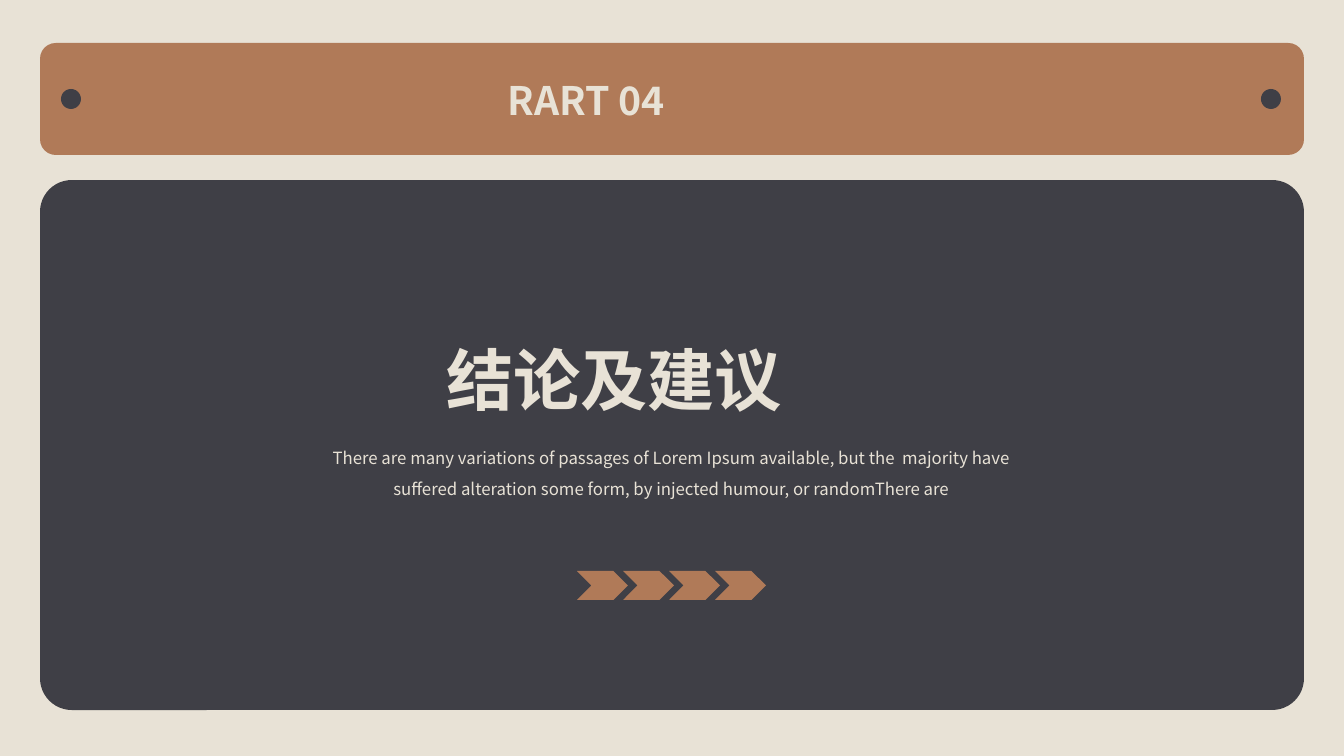
from dataclasses import dataclass

from lxml import etree
from pptx import Presentation
from pptx.dml.color import RGBColor
from pptx.enum.shapes import MSO_SHAPE
from pptx.enum.text import MSO_ANCHOR, MSO_AUTO_SIZE, PP_ALIGN
from pptx.oxml.ns import qn
from pptx.shapes.autoshape import Shape
from pptx.slide import Slide
from pptx.util import Emu, Pt

ROUNDED = MSO_SHAPE.ROUNDED_RECTANGLE
OVAL = MSO_SHAPE.OVAL
CHEVRON = MSO_SHAPE.CHEVRON
TOP = MSO_ANCHOR.TOP
FIT_SHAPE = MSO_AUTO_SIZE.SHAPE_TO_FIT_TEXT
JUSTIFY = PP_ALIGN.JUSTIFY
CENTER = PP_ALIGN.CENTER

CREAM = RGBColor(0xE8, 0xE2, 0xD6)
CHARCOAL = RGBColor(0x3F, 0x3F, 0x46)
COPPER = RGBColor(0xB0, 0x7A, 0x58)

FONT = "Noto Sans CJK SC"
PAGE_WIDTH = 1344
PAGE_HEIGHT = 756
EMU_PER_PX = 12192000 / PAGE_WIDTH
CHEVRON_COUNT = 4
CHEVRON_LEFT = 577
CHEVRON_STEP = 46


@dataclass(frozen=True)
class Frame:
    left: int
    top: int
    width: int
    height: int


@dataclass(frozen=True)
class Block:
    kind: MSO_SHAPE
    frame: Frame
    color: RGBColor
    corner: float | None = None


BLOCKS = [
    Block(ROUNDED, Frame(40, 180, 1264, 530), CHARCOAL, 0.06),
    Block(ROUNDED, Frame(40, 43, 1264, 112), COPPER, 0.14),
    *(Block(OVAL, Frame(left, 89, 20, 20), CHARCOAL) for left in (61, 1261)),
    *(
        Block(CHEVRON, Frame(CHEVRON_LEFT + index * CHEVRON_STEP, 571, 51, 29), COPPER)
        for index in range(CHEVRON_COUNT)
    ),
]


def px(length: int) -> Emu:
    return Emu(round(length * EMU_PER_PX))


def place(box: Shape, frame: Frame) -> None:
    box.left, box.top = px(frame.left), px(frame.top)
    box.width, box.height = px(frame.width), px(frame.height)


def draw_block(page: Slide, block: Block) -> None:
    shape = page.shapes.add_shape(block.kind, 0, 0, 0, 0)
    place(shape, block.frame)
    shape.shadow.inherit = False
    shape.fill.solid()
    shape.fill.fore_color.rgb = block.color
    shape.line.fill.background()
    if block.corner is not None:
        shape.adjustments[0] = block.corner


def write_text(
    box: Shape,
    frame: Frame,
    text: str,
    *,
    size: int,
    bold: bool = False,
    align: PP_ALIGN = JUSTIFY,
    spacing: float = 1.0,
) -> None:
    place(box, frame)
    box.text_frame.word_wrap = True
    box.text_frame.auto_size = FIT_SHAPE
    box.text_frame.vertical_anchor = TOP
    para = box.text_frame.paragraphs[0]
    para.alignment = align
    para.line_spacing = spacing
    span = para.add_run()
    span.text = text
    span.font.name = FONT
    span.font.size = Pt(size)
    span.font.bold = bold
    span.font.color.rgb = CREAM
    properties = span._r.get_or_add_rPr()
    etree.SubElement(properties, qn("a:ea")).set("typeface", FONT)


def add_text_box(page: Slide) -> Shape:
    return page.shapes.add_textbox(0, 0, 0, 0)


def main() -> None:
    deck = Presentation()
    deck.slide_width, deck.slide_height = px(PAGE_WIDTH), px(PAGE_HEIGHT)
    page = deck.slides.add_slide(deck.slide_layouts.get_by_name("Title Only"))
    page.background.fill.solid()
    page.background.fill.fore_color.rgb = CREAM

    for block in BLOCKS:
        draw_block(page, block)

    title = page.shapes.title
    title.element.getparent().append(title.element)
    write_text(title, Frame(436, 333, 471, 92), "结论及建议", size=48, bold=True)
    write_text(
        add_text_box(page), Frame(498, 71, 348, 57), "RART 04", size=28, bold=True
    )
    write_text(
        add_text_box(page),
        Frame(292, 433, 759, 69),
        "There are many variations of passages of Lorem Ipsum available, "
        "but the  majority have suffered alteration some form, "
        "by injected humour, or randomThere are",
        size=12,
        align=CENTER,
        spacing=1.5,
    )
    deck.save("out.pptx")


if __name__ == "__main__":
    main()
